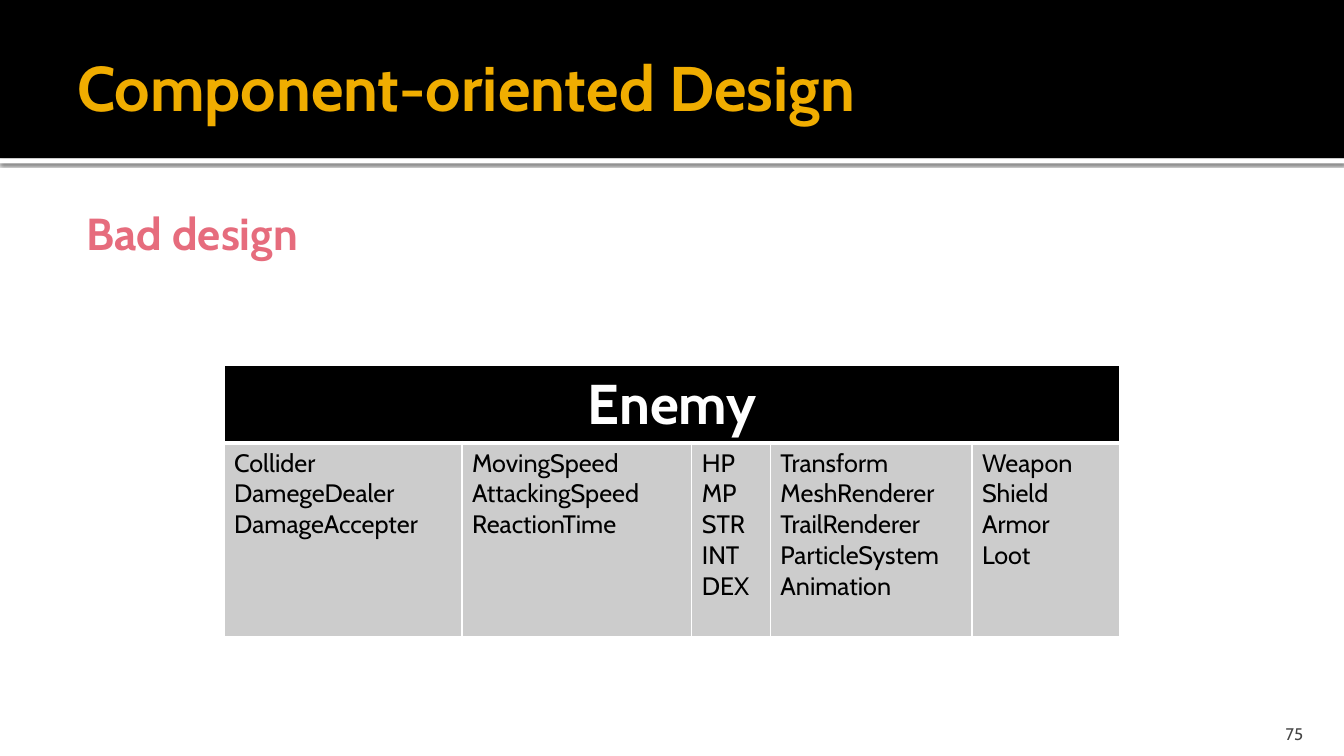
from lxml import etree
from pptx import Presentation
from pptx import util as u
from pptx.dml.color import RGBColor
from pptx.enum import shapes, text
from pptx.oxml import ns

COLORS = {"black": "000000", "white": "FFFFFF", "gold": "F0AD00",
          "rose": "E66C7D", "gray": "CCCCCC", "number": "454545"}
FONT = "Cabin"
COLS, ROWS = 40, 30
COMPONENTS = [
    (7.08, "Collider DamegeDealer DamageAccepter"),
    (6.84, "MovingSpeed AttackingSpeed ReactionTime"),
    (2.34, "HP MP STR INT DEX"),
    (6, "Transform MeshRenderer TrailRenderer ParticleSystem Animation"),
    (4.41, "Weapon Shield Armor Loot"),
]


class Deck:
    """Holds the style and the current slide, placed on a 40 by 30 grid."""

    def __init__(self):
        self.prs = Presentation()
        self.prs.slide_width, self.prs.slide_height = u.Inches(13.33), u.Inches(7.5)
        self.s = self.prs.slides.add_slide(self.prs.slide_layouts[6])

    def x(self, cols):
        return round(self.prs.slide_width * cols / COLS)

    def y(self, rows):
        return round(self.prs.slide_height * rows / ROWS)

    def box(self, left, top, width, height):
        return self.x(left), self.y(top), self.x(width), self.y(height)

    def color(self, name):
        return RGBColor.from_string(COLORS[name])

    def sub(self, parent, tag, **attrs):
        return etree.SubElement(parent, ns.qn(tag), attrs)

    def solid(self, parent, name):
        return self.sub(self.sub(parent, "a:solidFill"), "a:srgbClr", val=COLORS[name])

    def fill_text(self, tf, lines, size, color, bold=False, align=text.PP_ALIGN.LEFT):
        style = {"name": FONT, "size": u.Pt(size), "bold": bold}
        for i, line in enumerate(lines):
            p = tf.add_paragraph() if i else tf.paragraphs[0]
            p.alignment = align
            r = p.add_run()
            r.text = line
            for key, value in style.items():
                setattr(r.font, key, value)
            r.font.color.rgb = self.color(color)

    def band(self, box, fill, shadow=False):
        sp = self.s.shapes.add_shape(shapes.MSO_SHAPE.RECTANGLE, *self.box(*box))
        sp.shadow.inherit = False
        sp.fill.solid()
        sp.fill.fore_color.rgb = self.color(fill)
        sp.line.fill.background()
        if shadow:
            effects = sp._element.spPr.find(ns.qn("a:effectLst"))
            outer = self.sub(effects, "a:outerShdw", blurRad=str(u.Pt(2.5)),
                             dist=str(u.Pt(0.8)), dir="5400000", rotWithShape="0")
            tone = self.sub(outer, "a:srgbClr", val=COLORS["black"])
            self.sub(tone, "a:alpha", val="60000")

    def label(self, box, line, size, color, insets, anchor, indent=0, **style):
        tf = self.s.shapes.add_textbox(*self.box(*box)).text_frame
        sides = ("margin_left", "margin_top", "margin_right", "margin_bottom")
        layout = dict(zip(sides, map(u.Inches, insets)))
        layout.update(word_wrap=True, vertical_anchor=anchor)
        for key, value in layout.items():
            setattr(tf, key, value)
        if indent:
            tf.paragraphs[0]._p.get_or_add_pPr().set("marL", str(u.Inches(indent)))
        self.fill_text(tf, [line], size, color, **style)

    def cell(self, cell, fill, top=1, bottom=1):
        tcPr = cell._tc.get_or_add_tcPr()
        for side, width in {"L": 1, "R": 1, "T": top, "B": bottom}.items():
            self.solid(self.sub(tcPr, "a:ln" + side, w=str(u.Pt(width))), "white")
        cell.fill.solid()
        cell.fill.fore_color.rgb = self.color(fill)

    def table(self, left, top, heights, heading, columns):
        width = sum(w for w, _ in columns)
        table = self.s.shapes.add_table(
            2, len(columns), *self.box(left, top, width, sum(heights))).table
        table.first_row = table.horz_banding = False
        for row, height in zip(table.rows, heights):
            row.height = self.y(height)
        for i, (w, names) in enumerate(columns):
            table.columns[i].width = self.x(w)
            self.cell(table.cell(0, i), "black", bottom=3)
            self.cell(table.cell(1, i), "gray", top=3)
            self.fill_text(table.cell(1, i).text_frame, names.split(), 18, "black")
        table.cell(0, 0).merge(table.cell(0, len(columns) - 1))
        self.fill_text(table.cell(0, 0).text_frame, [heading], 40, "white", True,
                       text.PP_ALIGN.CENTER)


def main():
    deck = Deck()
    anchor = text.MSO_ANCHOR
    deck.band((0, 6.28, COLS, 0.2), "white", shadow=True)
    deck.band((0, 0, COLS, 6.28), "black")
    deck.label((2, 7.76, 36, 3), "Bad design", 32, "rose",
               (0.06, 0.1, 0.1, 0.05), anchor.TOP, indent=0.13, bold=True)
    deck.label((2, 0.68, 36, 5.48), "Component-oriented Design", 45, "gold",
               (0.1, 0.05, 0.05, 0.05), anchor.MIDDLE, bold=True)
    deck.label((35.88, 28.32, 3.2, 1.2), "75", 12, "number",
               (0.1, 0.05, 0.1, 0), anchor.BOTTOM, align=text.PP_ALIGN.RIGHT)
    deck.table(6.67, 14.5, (3.04, 7.68), "Enemy", COMPONENTS)
    deck.prs.save("out.pptx")


if __name__ == "__main__":
    main()
